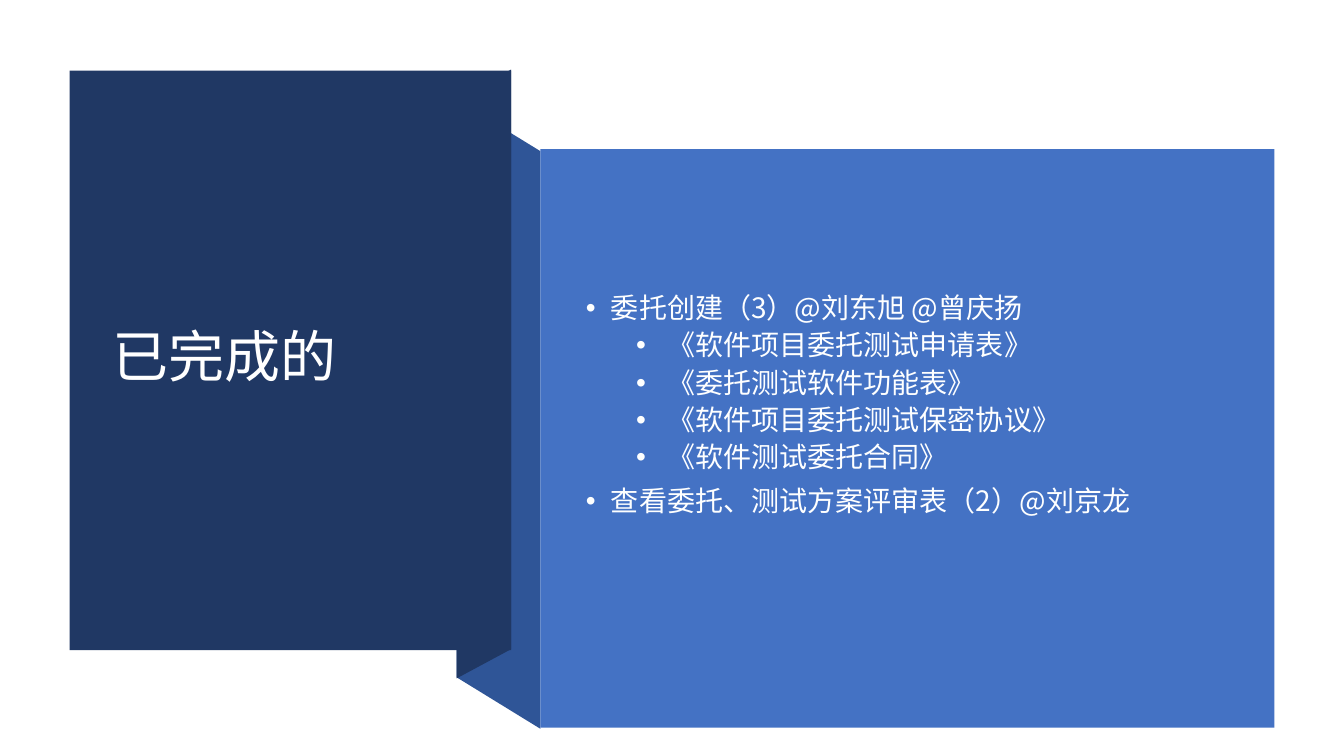
from dataclasses import dataclass

from lxml import etree
from pptx import Presentation
from pptx.dml.color import RGBColor
from pptx.enum.shapes import MSO_SHAPE
from pptx.enum.text import MSO_ANCHOR, MSO_AUTO_SIZE, PP_ALIGN
from pptx.oxml.ns import qn
from pptx.util import Inches, Pt

RECTANGLE = MSO_SHAPE.RECTANGLE
MIDDLE = MSO_ANCHOR.MIDDLE
NO_AUTOFIT = MSO_AUTO_SIZE.NONE
LEFT = PP_ALIGN.LEFT


@dataclass(frozen=True)
class Theme:
    """Colours, font and type sizes of the slide."""
    navy: str = "203864"
    fold: str = "2F5597"
    panel: str = "4472C4"
    title_text: str = "FFFFFF"
    body_text: str = "FEFFFF"
    font: str = "Noto Sans CJK SC"
    title_size: int = 40
    body_size: int = 20


theme = Theme()


def paint(shape, color):
    """Give a shape a flat fill without line or shadow."""
    shape.fill.solid()
    shape.fill.fore_color.rgb = RGBColor.from_string(color)
    shape.line.fill.background()
    shape.shadow.inherit = False


def style_text(para, size, color):
    """Format a paragraph and its runs in the theme font."""
    para.alignment = LEFT
    para.line_spacing = 0.9
    for span in para.runs:
        span.font.size = Pt(size)
        span.font.name = theme.font
        span.font.color.rgb = RGBColor.from_string(color)
        east_asian = etree.SubElement(span.font._element, qn("a:ea"))
        east_asian.set("typeface", theme.font)


deck = Presentation()
deck.slide_width = Inches(13.33)
deck.slide_height = Inches(7.5)
page = deck.slides.add_slide(deck.slide_layouts[1])

# Vertical edges shared by the title panel, the ribbon folds and the list panel
title_left, fold_left, title_right, list_left, list_right = 0.69, 4.53, 5.07, 5.36, 12.64
title_top, title_bottom = 0.7, 6.45
list_top, list_bottom = 1.48, 7.22

# Ribbon folds, from back to front
folds = [
    (theme.fold, [(list_left, 7.23), (fold_left, 6.72), (fold_left, 0.99), (list_left, 1.5)]),
    (theme.navy, [(title_right, 6.44), (fold_left, 6.73), (fold_left, 0.98), (title_right, 0.69)]),
]
for color, corners in folds:
    points = [(Inches(x), Inches(y)) for x, y in corners]
    builder = page.shapes.build_freeform(*points[0])
    builder.add_line_segments(points[1:], close=True)
    paint(builder.convert_to_shape(), color)

panels = [
    (theme.navy, title_left, title_top, title_right, title_bottom),
    (theme.panel, list_left, list_top, list_right, list_bottom),
]
for color, left, top, right, bottom in panels:
    panel = page.shapes.add_shape(RECTANGLE, Inches(left), Inches(top),
                                  Inches(right - left), Inches(bottom - top))
    paint(panel, color)

# Title and list placeholders, brought in front of the panels
title = page.shapes.title
body = page.placeholders[1]
placements = [(title, 1.02, 1.07, 3.71, 4.99), (body, 5.71, 1.88, 6.51, 4.74)]
for box, left, top, width, height in placements:
    box.left, box.top = Inches(left), Inches(top)
    box.width, box.height = Inches(width), Inches(height)
    box.text_frame.word_wrap = True
    box.text_frame.auto_size = NO_AUTOFIT
    box.text_frame.vertical_anchor = MIDDLE
    page.shapes._spTree.append(box._element)

title.text_frame.text = "已完成的"
style_text(title.text_frame.paragraphs[0], theme.title_size, theme.title_text)

items = [
    (0, "委托创建（3）@刘东旭 @曾庆扬"),
    (1, "《软件项目委托测试申请表》"),
    (1, "《委托测试软件功能表》"),
    (1, "《软件项目委托测试保密协议》"),
    (1, "《软件测试委托合同》"),
    (0, "查看委托、测试方案评审表（2）@刘京龙"),
]
# Per level: left margin, hanging indent, space before
levels = [(0.25, -0.25, 10), (0.81, -0.31, 5)]
body.text_frame.margin_bottom = Inches(0.49)
body.text_frame.text = "\n".join(text for _, text in items)
for para, (level, _) in zip(body.text_frame.paragraphs, items):
    margin, indent, space = levels[level]
    para.level = level
    style_text(para, theme.body_size, theme.body_text)
    para.space_before = Pt(space)
    properties = para._p.get_or_add_pPr()
    properties.set("marL", str(Inches(margin)))
    properties.set("indent", str(Inches(indent)))
    bullet_font = etree.SubElement(properties, qn("a:buFont"))
    bullet_font.set("typeface", "Arial")
    bullet = etree.SubElement(properties, qn("a:buChar"))
    bullet.set("char", "•")

deck.save("out.pptx")
